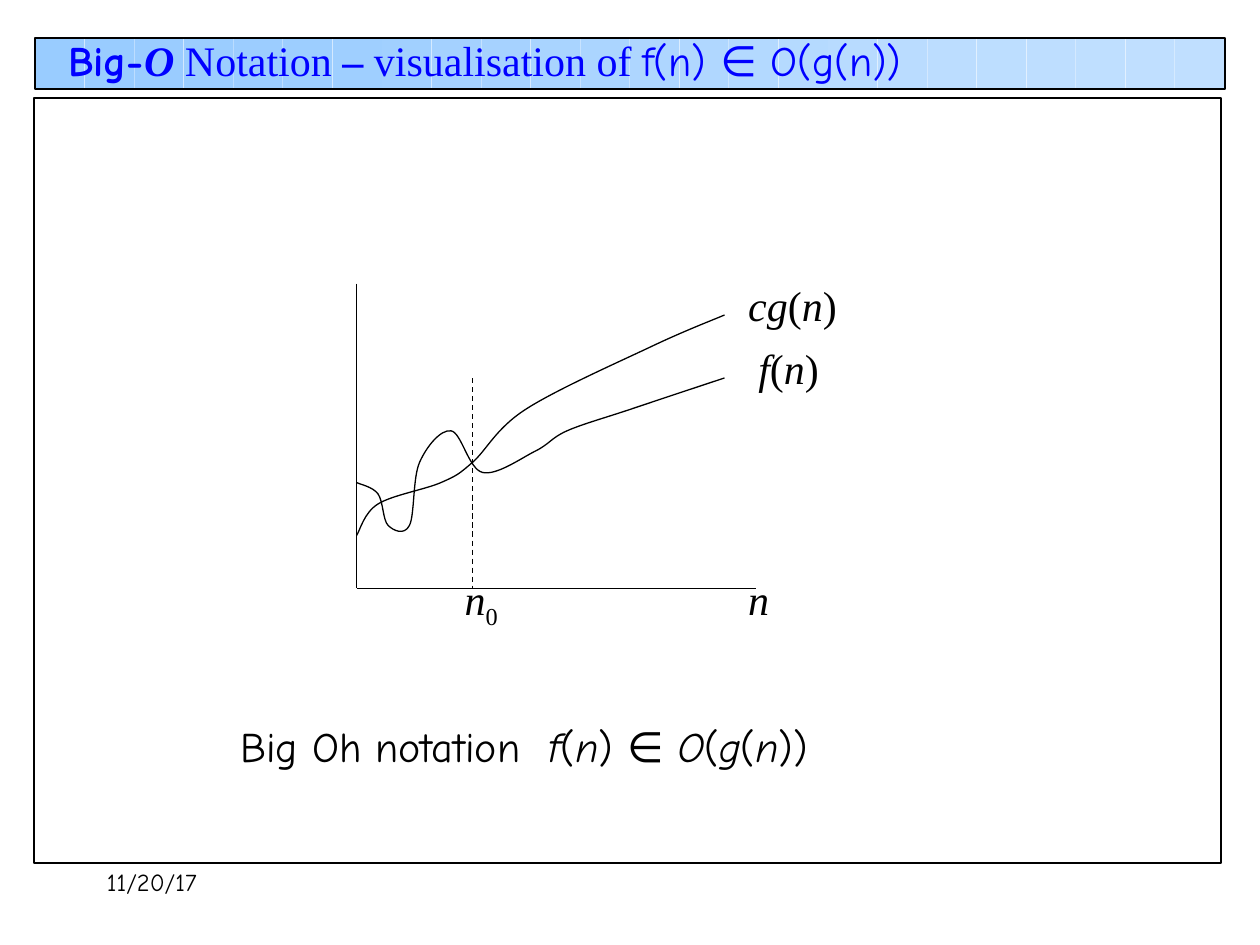
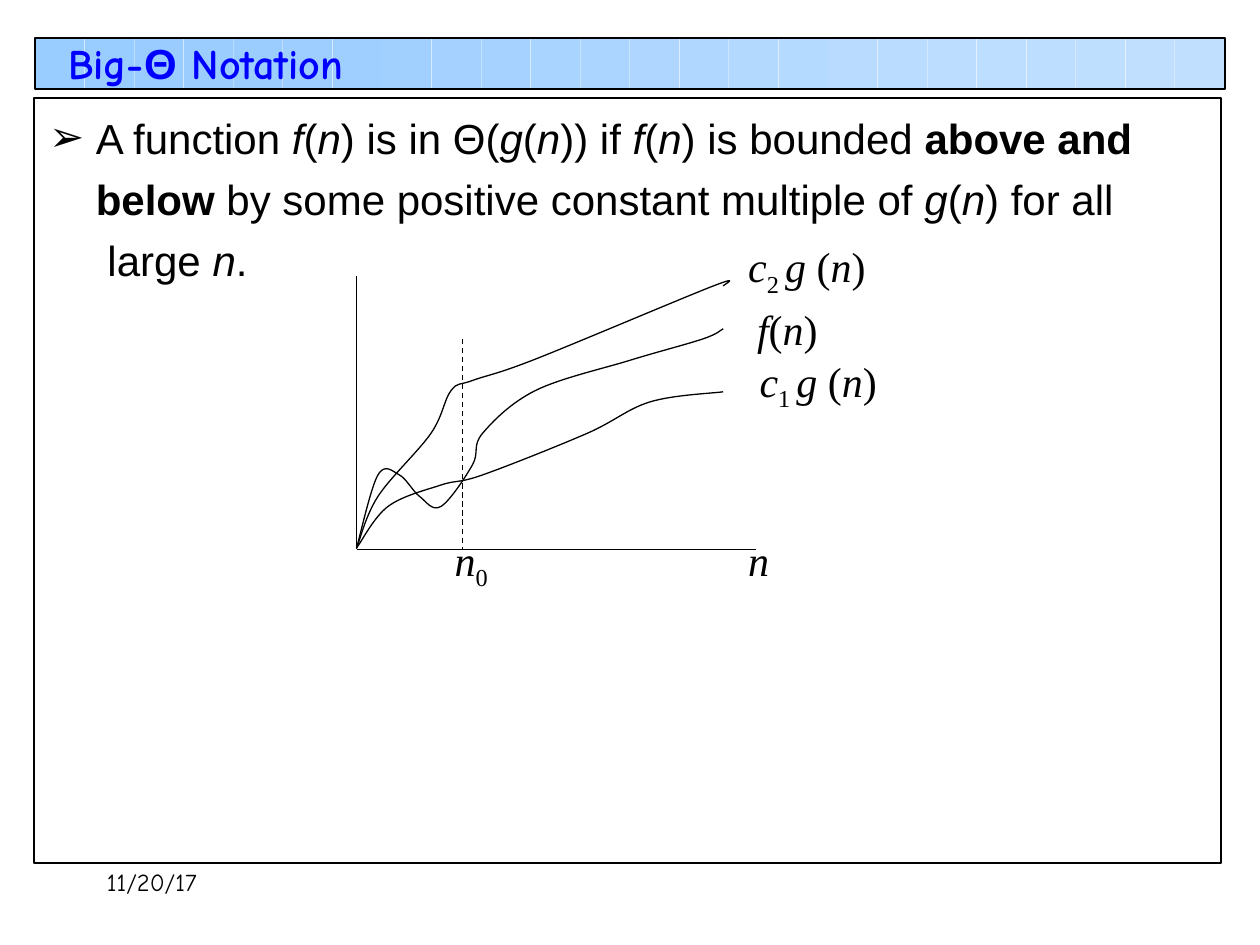
from copy import deepcopy
from dataclasses import dataclass
from math import cos, pi

from pptx import Presentation
from pptx.dml.color import RGBColor
from pptx.enum import dml, shapes, text
from pptx.oxml import ns, xmlchemy
from pptx.util import Inches, Pt


@dataclass(frozen=True)
class Theme:
    ink: RGBColor = RGBColor(0, 0, 0)
    head: RGBColor = RGBColor(0, 0, 255)
    dark: tuple = (0x99, 0xCC, 0xFF)
    pale: tuple = (0xC0, 0xDF, 0xFF)
    comic: str = "Comic Neue"
    serif: str = "Times New Roman"
    sans: str = "Arial"
    main: int = 24
    small: int = 14
    frame: float = 1.25
    thin: float = 0.75


MARKS = {"_": "italic", "*": "bold", "~": "sub"}


def split(line):
    on, part = set(), ""
    for char in line:
        if char in MARKS:
            if part:
                yield part, frozenset(on)
            on ^= {MARKS[char]}
            part = ""
        else:
            part += char
    if part:
        yield part, frozenset(on)


class Deck:
    def __init__(self, theme):
        self.theme = theme
        self.prs = Presentation()
        self.prs.slide_width, self.prs.slide_height = Inches(10), Inches(7.5)
        self.slide = None

    def page(self, layout):
        first = self.slide is None
        self.slide = self.prs.slides.add_slide(self.prs.slide_layouts[layout])
        if first:
            self.backdrop()

    def backdrop(self, count=24):
        step = 9.44 / count
        parts = []
        for i in range(count):
            mix = (1 - cos(pi * i / (count - 1))) / 2
            tone = [round(a + (b - a) * mix)
                    for a, b in zip(self.theme.dark, self.theme.pale)]
            parts.append(self.rect(0.28 + i * step, 0.3, 0.39, 0.41, RGBColor(*tone)))
        parts.append(self.rect(0.28, 0.3, 9.44, 0.41))
        parts.append(self.rect(0.27, 0.78, 9.42, 6.07))
        tree = self.prs.slide_master.shapes._spTree
        for i, part in enumerate(parts):
            part._element.nvSpPr.cNvPr.id = 100 + i
            tree.insert(2 + i, part._element)

    def rect(self, x, y, w, h, fill=None):
        box = self.slide.shapes.add_shape(
            shapes.MSO_SHAPE.RECTANGLE, Inches(x), Inches(y), Inches(w), Inches(h))
        box.shadow.inherit = False
        if fill is None:
            box.fill.background()
            self.stroke(box, self.theme.frame)
        else:
            box.fill.solid()
            box.fill.fore_color.rgb = fill
            box.line.fill.background()
        return box

    def stroke(self, shape, width):
        shape.line.color.rgb = self.theme.ink
        shape.line.width = Pt(width)

    def style(self, para, spans, size, color):
        for line, font in spans:
            for part, marks in split(line):
                run = para.add_run()
                run.text = part
                run.font.name = font
                run.font.size = Pt(size)
                run.font.color.rgb = color
                run.font.bold = "bold" in marks
                run.font.italic = "italic" in marks
                if "sub" in marks:
                    run.font._element.set("baseline", "-25000")

    def place(self, shape, x, y, w, h):
        shape.left, shape.top = Inches(x), Inches(y)
        shape.width, shape.height = Inches(w), Inches(h)
        shape.text_frame.auto_size = text.MSO_AUTO_SIZE.NONE

    def title(self, spans, y, w):
        head = self.slide.shapes.title
        self.place(head, 0.44, y, w, 0.5)
        head.text_frame.vertical_anchor = text.MSO_ANCHOR.MIDDLE
        para = head.text_frame.paragraphs[0]
        para.alignment = text.PP_ALIGN.LEFT
        self.style(para, spans, self.theme.main, self.theme.head)

    def body(self, lines, x, y, w, h):
        shape = self.slide.placeholders[1]
        self.place(shape, x, y, w, h)
        for i, line in enumerate(lines):
            frame = shape.text_frame
            para = frame.add_paragraph() if i else frame.paragraphs[0]
            para.space_before = Pt(6)
            self.style(para, [(line, self.theme.sans)], self.theme.main, self.theme.ink)
            props = para._p.get_or_add_pPr()
            props.set("marL", str(Inches(0.37)))
            props.set("indent", str(0 if i else -Inches(0.37)))
            mark = xmlchemy.OxmlElement("a:buNone" if i else "a:buChar")
            if not i:
                mark.set("char", "➢")
            props.append(mark)

    def label(self, line, x, y, w, h=0.5, font=None, size=None, wrap=False):
        box = self.slide.shapes.add_textbox(Inches(x), Inches(y), Inches(w), Inches(h))
        box.text_frame.word_wrap = wrap
        self.style(box.text_frame.paragraphs[0], [(line, font or self.theme.serif)],
                   size or self.theme.main, self.theme.ink)

    def line(self, x1, y1, x2, y2, dash=False):
        link = self.slide.shapes.add_connector(
            shapes.MSO_CONNECTOR.STRAIGHT,
            Inches(x1), Inches(y1), Inches(x2), Inches(y2))
        self.stroke(link, self.theme.thin)
        if dash:
            link.line.dash_style = dml.MSO_LINE.DASH
        link._element.spPr.append(xmlchemy.OxmlElement("a:effectLst"))

    def curve(self, knots):
        dots = [(Inches(x), Inches(y)) for x, y in knots]
        pen = self.slide.shapes.build_freeform(*dots[0])
        pen.add_line_segments(dots[1:], close=False)
        shape = pen.convert_to_shape()
        shape.shadow.inherit = False
        shape.fill.background()
        self.stroke(shape, self.theme.thin)
        ends = [dots[0], *dots, dots[-1]]
        legs = list(shape._element.iter(ns.qn("a:lnTo")))
        for leg, a, b, c, d in zip(legs, ends, ends[1:], ends[2:], ends[3:]):
            leg.tag = ns.qn("a:cubicBezTo")
            pulls = ([q + (r - p) / 6 for p, q, r in zip(a, b, c)],
                     [r - (s - q) / 6 for q, r, s in zip(b, c, d)])
            for i, (x, y) in enumerate(pulls):
                point = deepcopy(leg[-1])
                point.set("x", str(round(x - shape.left)))
                point.set("y", str(round(y - shape.top)))
                leg.insert(i, point)

    def graph(self, top, base, mark, peak, curves, labels):
        self.line(2.83, top, 2.83, base)
        self.line(2.83, base, 6, base)
        self.line(mark, peak, mark, base, dash=True)
        for knots in curves:
            self.curve(knots)
        self.label("_n_~0~", mark - 0.16, base - 0.17, 0.46, 0.56)
        self.label("_n_", 5.84, base - 0.17, 0.36)
        for label in labels:
            self.label(*label)

    def date(self):
        self.label("11/20/17", 0.75, 6.83, 2.08,
                   font=self.theme.comic, size=self.theme.small, wrap=True)


def big_o(deck):
    look = deck.theme
    deck.page(5)
    deck.title([("*Big-*", look.comic),
                ("*_O _*Notation *– *visualisation of ", look.serif),
                ("f(n) ∈ O(g(n))", look.comic)], 0.22, 7.4)
    bound = [(2.83, 4.25), (3, 4), (3.5, 3.83), (3.75, 3.67), (4.17, 3.25),
             (5.17, 2.75), (5.75, 2.5)]
    func = [(2.83, 3.83), (3, 3.92), (3.08, 4.17), (3.25, 4.17), (3.33, 3.67),
            (3.58, 3.42), (3.83, 3.75), (4.25, 3.58), (4.5, 3.42), (5, 3.25),
            (5.75, 3)]
    deck.graph(2.25, 4.67, 3.75, 3, [bound, func],
               [("_cg_(_n_)", 5.84, 2.17, 0.9), ("_f_(_n_)", 5.92, 2.67, 0.68)])
    deck.label("Big Oh notation  _f_(_n_) ∈ _O_(_g_(_n_))", 1.81, 5.67, 6.54,
               font=look.comic, wrap=True)
    deck.date()


def big_theta(deck):
    look = deck.theme
    deck.page(1)
    deck.title([("*Big-*", look.comic), ("*Θ*", look.sans),
                ("* Notation*", look.comic)], 0.25, 6.05)
    deck.body(["A function _f_(_n_) is in Θ(_g_(_n_)) if _f_(_n_) is bounded *above and*",
               "*below* by some positive constant multiple of _g_(_n_) for all",
               " large _n_."], 0.29, 0.84, 9.49, 1.47)
    func = [(2.83, 4.35), (3, 3.77), (3.17, 3.77), (3.33, 3.94), (3.5, 4.02),
            (3.75, 3.69), (3.83, 3.44), (4.25, 3.1), (5, 2.86), (5.58, 2.69),
            (5.74, 2.61)]
    lower = [(2.83, 4.35), (3.08, 4.02), (3.5, 3.85), (3.83, 3.77), (4.66, 3.44),
             (5.16, 3.19), (5.74, 3.11)]
    upper = [(2.83, 4.35), (3, 3.94), (3.42, 3.44), (3.58, 3.1), (3.75, 3.02),
             (4.25, 2.85), (5.66, 2.27), (5.74, 2.27)]
    deck.graph(2.19, 4.36, 3.67, 2.69, [func, lower, upper],
               [("_c_~2 ~_g _(_n_)", 5.84, 1.86, 1.13, 0.56),
                ("_f_(_n_)", 5.91, 2.36, 0.68),
                ("_c_~1 ~_g _(_n_)", 5.93, 2.77, 1.13, 0.56)])
    deck.date()


def main():
    deck = Deck(Theme())
    big_o(deck)
    big_theta(deck)
    deck.prs.save("out.pptx")


if __name__ == "__main__":
    main()
